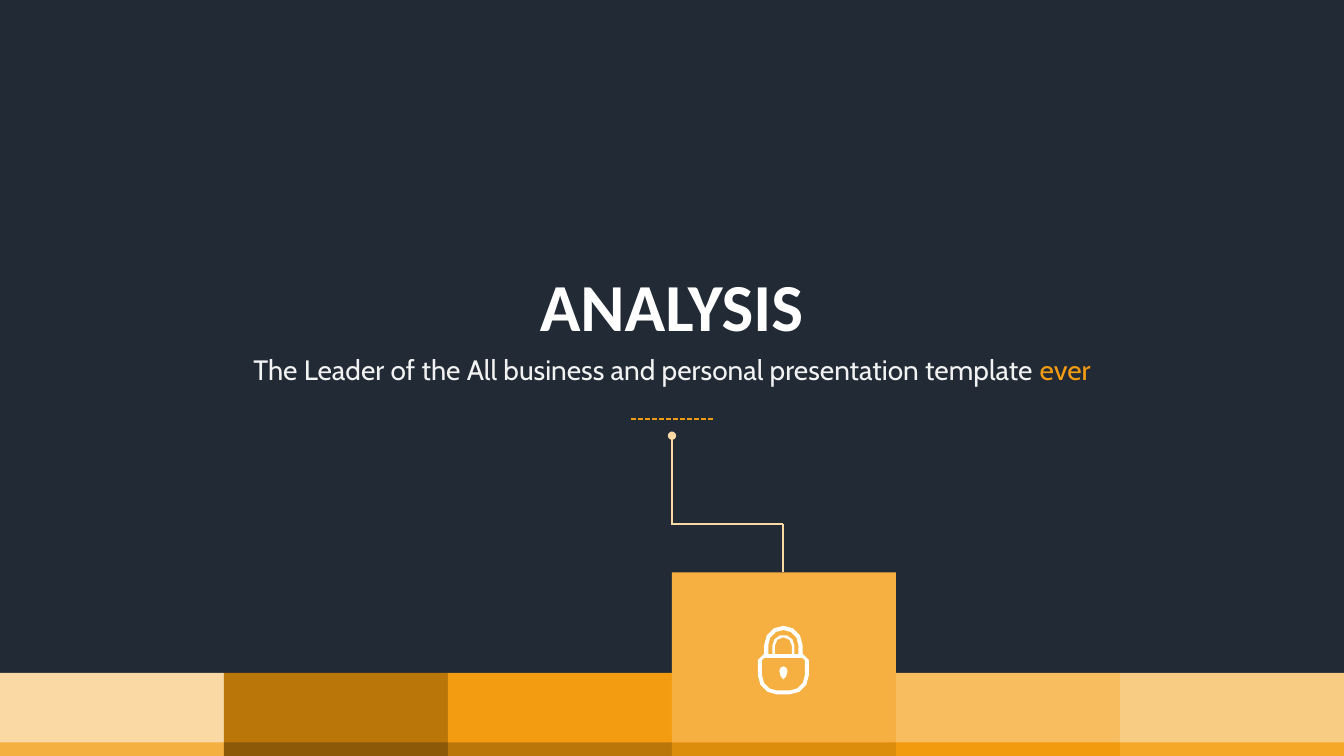
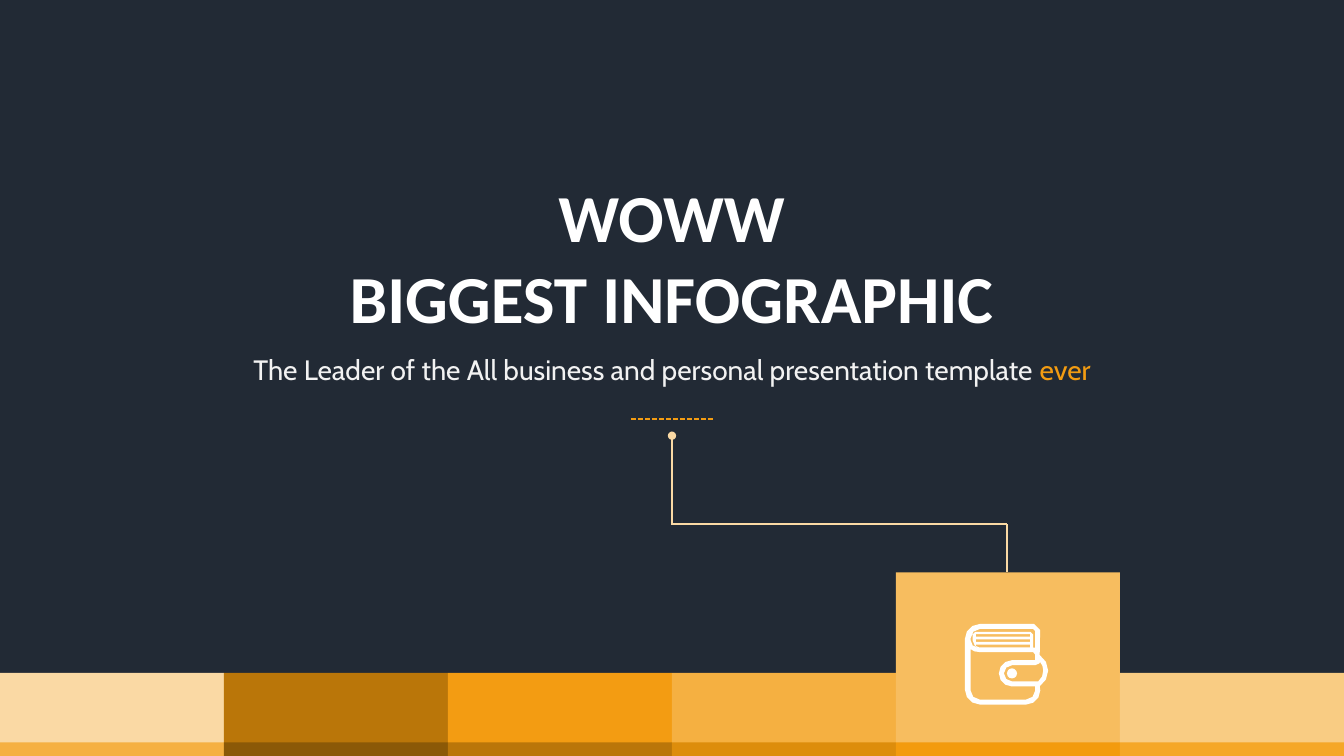
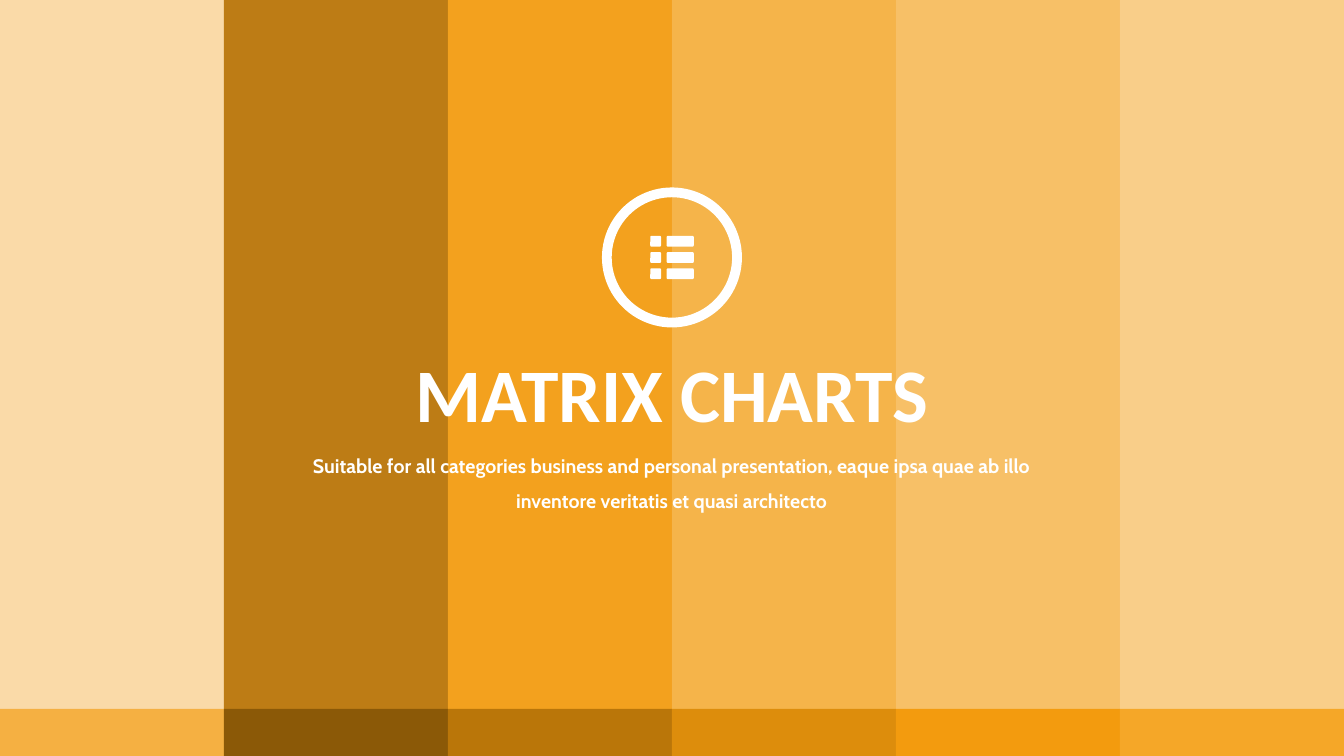
from math import cos, radians, sin

from lxml import etree
from pptx import Presentation
from pptx.dml.color import RGBColor
from pptx.enum.dml import MSO_LINE
from pptx.enum.shapes import MSO_CONNECTOR, MSO_SHAPE
from pptx.enum.text import MSO_AUTO_SIZE, PP_ALIGN
from pptx.oxml.ns import qn
from pptx.util import Pt

RECT = MSO_SHAPE.RECTANGLE
ROUNDED_RECT = MSO_SHAPE.ROUNDED_RECTANGLE
OVAL = MSO_SHAPE.OVAL
DONUT = MSO_SHAPE.DONUT
STRAIGHT = MSO_CONNECTOR.STRAIGHT
SHORT_DASH = MSO_LINE.SQUARE_DOT
CENTER = PP_ALIGN.CENTER
FIT_SHAPE = MSO_AUTO_SIZE.SHAPE_TO_FIT_TEXT

COLORS = {
    "night": "222A35",
    "white": "FFFFFF",
    "soft_white": "F2F2F2",
    "accent": "F39C12",
    "lead": "FAD9A4",
}
COLUMN_COLORS = ["FAD9A4", "BA7609", "F39C12", "F5B041", "F7BD5F", "F9CC83"]
BASE_COLORS = ["F5B042", "8B5907", "BA7609", "DD8D0C", "F39B0E", "F5A728"]
HEADING_FONT, BODY_FONT = "Calibri", "Cabin"

WIDTH, HEIGHT = 960, 540
COLUMN = WIDTH / len(COLUMN_COLORS)
MIDDLE = WIDTH / 2
BAND_TOP, RAISED_TOP, BASE_TOP = 480.7, 408.8, 530.3
LEAD_TOP, LEAD_TURN = 311.2, 374.4


# Basic elements
def rgb(hex_color):
    return RGBColor.from_string(hex_color)


def paint(shape, color, opacity=100):
    shape.shadow.inherit = False
    shape.fill.solid()
    shape.fill.fore_color.rgb = rgb(color)
    shape.line.fill.background()
    if opacity < 100:
        color_node = shape.fill._xPr.find(qn("a:solidFill"))[0]
        etree.SubElement(color_node, qn("a:alpha"), val=str(opacity * 1000))


def add_block(slide, kind, left, top, width, height, color,
              opacity=100, adjustment=None):
    block = slide.shapes.add_shape(kind, Pt(left), Pt(top), Pt(width), Pt(height))
    if adjustment is not None:
        block.adjustments[0] = adjustment
    paint(block, color, opacity)


def add_line(slide, start, end, color, dash=None, dot_at_start=False):
    line = slide.shapes.add_connector(STRAIGHT, *(Pt(v) for v in (*start, *end)))
    line.line.color.rgb = rgb(color)
    line.line.width = Pt(1.25)
    if dash is not None:
        line.line.dash_style = dash
    if dot_at_start:
        etree.SubElement(line.line._get_or_add_ln(), qn("a:headEnd"), type="oval")
    etree.SubElement(line._element.spPr, qn("a:effectLst"))


def add_text(slide, box, paragraphs, font, size, bold=False, wrap=True, spacing=None):
    """Each paragraph is a list of (text, colour) runs."""
    frame = slide.shapes.add_textbox(*(Pt(v) for v in box)).text_frame
    frame.word_wrap = wrap
    frame.auto_size = FIT_SHAPE
    for index, runs in enumerate(paragraphs):
        paragraph = frame.add_paragraph() if index else frame.paragraphs[0]
        paragraph.alignment = CENTER
        if spacing:
            paragraph.line_spacing = spacing
        paragraph.font.name = font
        paragraph.font.size = Pt(size)
        paragraph.font.bold = bold
        for text, color in runs:
            run = paragraph.add_run()
            run.text = text
            run.font.color.rgb = rgb(color)


# Outlines for icons
def arc(x, y, radius, start, end):
    """Points on an arc, with more of them on wider and longer arcs."""
    if radius == 0:
        return [(x, y)]
    steps = max(1, round(abs(end - start) / 90 * min(3, radius / 3)))
    angles = [radians(start + (end - start) * i / steps) for i in range(steps + 1)]
    return [(x + radius * cos(a), y + radius * sin(a)) for a in angles]


def rounded(left, top, right, bottom, tl=0, tr=0, br=0, bl=0):
    return (arc(left + tl, top + tl, tl, 180, 270)
            + arc(right - tr, top + tr, tr, 270, 360)
            + arc(right - br, bottom - br, br, 0, 90)
            + arc(left + bl, bottom - bl, bl, 90, 180))


def add_outline(slide, contours, color):
    """Nested contours cut holes in the ones around them."""
    contours = [[(Pt(x), Pt(y)) for x, y in contour] for contour in contours]
    builder = slide.shapes.build_freeform(*contours[0][0])
    for index, contour in enumerate(contours):
        if index:
            builder.move_to(*contour[0])
        builder.add_line_segments(contour[1:], close=True)
    paint(builder.convert_to_shape(), color)


def add_lock(slide):
    center, joint = 559.6, 467.2
    shackle = [arc(center, top + half, half, 180, 360)
               + [(center + half, joint), (center - half, joint)]
               for half, top in [(13.7, 447), (10.8, 450), (7.9, 453.4), (6.1, 455.2)]]
    body = [rounded(541.4, joint, 577.8, 496, 4.3, 4.3, 13.7, 13.7),
            rounded(544.3, 470, 574.9, 493.2, 1.5, 1.5, 10.8, 10.8)]
    keyhole = [(556.7, 479.3), (557.5, 477), (center, 476), (561.7, 477),
               (562.5, 479.3), (561.6, 483.1), (center, 485.3), (557.6, 483.1)]
    add_outline(slide, shackle + body, COLORS["white"])
    add_outline(slide, [keyhole], COLORS["white"])


def add_wallet(slide):
    clasp_x, clasp_y = 722.9, 481
    silhouette = (arc(700, 456.5, 10.8, 180, 270)
                  + arc(738.7, 450, 4.3, 270, 360)
                  + arc(735.3, 479.1, 13.4, -56.6, 56.6)
                  + arc(733, 493.2, 10.1, 0, 90)
                  + arc(700, 492.5, 10.8, 90, 180))
    cover = rounded(693.4, 449.3, 739.4, 462.6, 6.5, 1.4, 0, 5)
    pages = rounded(694.8, 451.4, 738, 462.6, 1.8, 1.8, 0, 5)
    page_lines = [rounded(697, top, 735.8, top + 1.9)
                  for top in (452.9 + 3.8 * i for i in range(3))]
    pocket = ([(693.4, 463.7), (696, 465.3), (699.8, 465.8), (738, 465.8),
               (739.4, 467.6), (739.4, clasp_y - 9.4)]
              + arc(clasp_x, clasp_y, 9.4, 270, 90)
              + [(739.4, clasp_y + 9.4)]
              + arc(733, 493.2, 6.5, 0, 90)
              + arc(699.8, 493.2, 6.5, 90, 180))
    strap = (arc(clasp_x, clasp_y, 5.8, 270, 90)
             + [(741.6, 486.8), (744.4, 483.2), (745.2, 478.8), (744.6, 475.6),
                (743, 473), (742.3, 474), (739.4, 475.2)])
    add_block(slide, OVAL, 719.3, 477.4, 7.2, 7.2, COLORS["white"])
    add_outline(slide, [silhouette, cover, pages, *page_lines, pocket, strap],
                COLORS["white"])


def add_list_badge(slide):
    white = COLORS["white"]
    add_block(slide, DONUT, MIDDLE - 50, 133.9, 100, 100, white, adjustment=0.07)
    for left, width in [(464.5, 7.7), (476.2, 19.4)]:
        for row in range(3):
            add_block(slide, ROUNDED_RECT, left, 168.5 + 11.6 * row, width, 7.7,
                      white, adjustment=0.12)


# Shared slide parts
def new_slide(prs, background):
    slide = prs.slides.add_slide(prs.slide_layouts[6])
    slide.background.fill.solid()
    slide.background.fill.fore_color.rgb = rgb(background)
    return slide


def add_columns(slide, tops, base_top, opacity=100):
    for i, (top, color) in enumerate(zip(tops, COLUMN_COLORS)):
        add_block(slide, RECT, i * COLUMN, top, COLUMN, HEIGHT - top, color, opacity)
    for i, color in enumerate(BASE_COLORS):
        add_block(slide, RECT, i * COLUMN, base_top, COLUMN, HEIGHT - base_top, color)


def add_heading(slide, box, lines, size):
    add_text(slide, box, [[(line, COLORS["white"])] for line in lines],
             HEADING_FONT, size, bold=True, wrap=False)


def section_slide(prs, heading, heading_box, raised, add_icon):
    slide = new_slide(prs, COLORS["night"])
    tops = [RAISED_TOP if i == raised else BAND_TOP for i in range(len(COLUMN_COLORS))]
    add_columns(slide, tops, BASE_TOP)

    # Lead from the heading to the raised column
    turn_x = (raised + 0.5) * COLUMN - 0.6
    lead = COLORS["lead"]
    add_line(slide, (turn_x, LEAD_TURN), (MIDDLE, LEAD_TURN), lead)
    add_line(slide, (turn_x, LEAD_TURN), (turn_x, RAISED_TOP), lead)

    # Heading and tagline
    add_heading(slide, heading_box, heading, 48)
    tagline = [("The Leader of the All business and personal presentation template ",
                COLORS["soft_white"]), ("ever", COLORS["accent"])]
    add_text(slide, (167.6, 248.4, 624.8, 31.5), [tagline], BODY_FONT, 20)
    add_line(slide, (450.7, 299.3), (509.3, 299.3), COLORS["accent"], SHORT_DASH)
    add_line(slide, (MIDDLE, LEAD_TOP), (MIDDLE, LEAD_TURN + 0.6), lead,
             dot_at_start=True)
    add_icon(slide)


def matrix_slide(prs):
    slide = new_slide(prs, COLORS["white"])
    add_columns(slide, [0] * len(COLUMN_COLORS), 506.4, opacity=95)
    add_heading(slide, (287.8, 244.4, 384.4, 72.7), ["MATRIX CHARTS"], 54)
    summary = ("Suitable for all categories business and personal presentation, "
               "eaque ipsa quae ab illo inventore veritatis et quasi architecto")
    add_text(slide, (210.2, 312.2, 539.3, 55.4), [[(summary, COLORS["white"])]],
             BODY_FONT, 14, bold=True, spacing=1.5)
    add_list_badge(slide)


def main():
    prs = Presentation()
    prs.slide_width, prs.slide_height = Pt(WIDTH), Pt(HEIGHT)
    section_slide(prs, ["ANALYSIS"], (377.5, 185.3, 204.4, 65.5), 3, add_lock)
    section_slide(prs, ["WOWW", "BIGGEST INFOGRAPHIC"], (240.3, 121.7, 479, 123.8),
                  4, add_wallet)
    matrix_slide(prs)
    prs.save("out.pptx")


if __name__ == "__main__":
    main()
